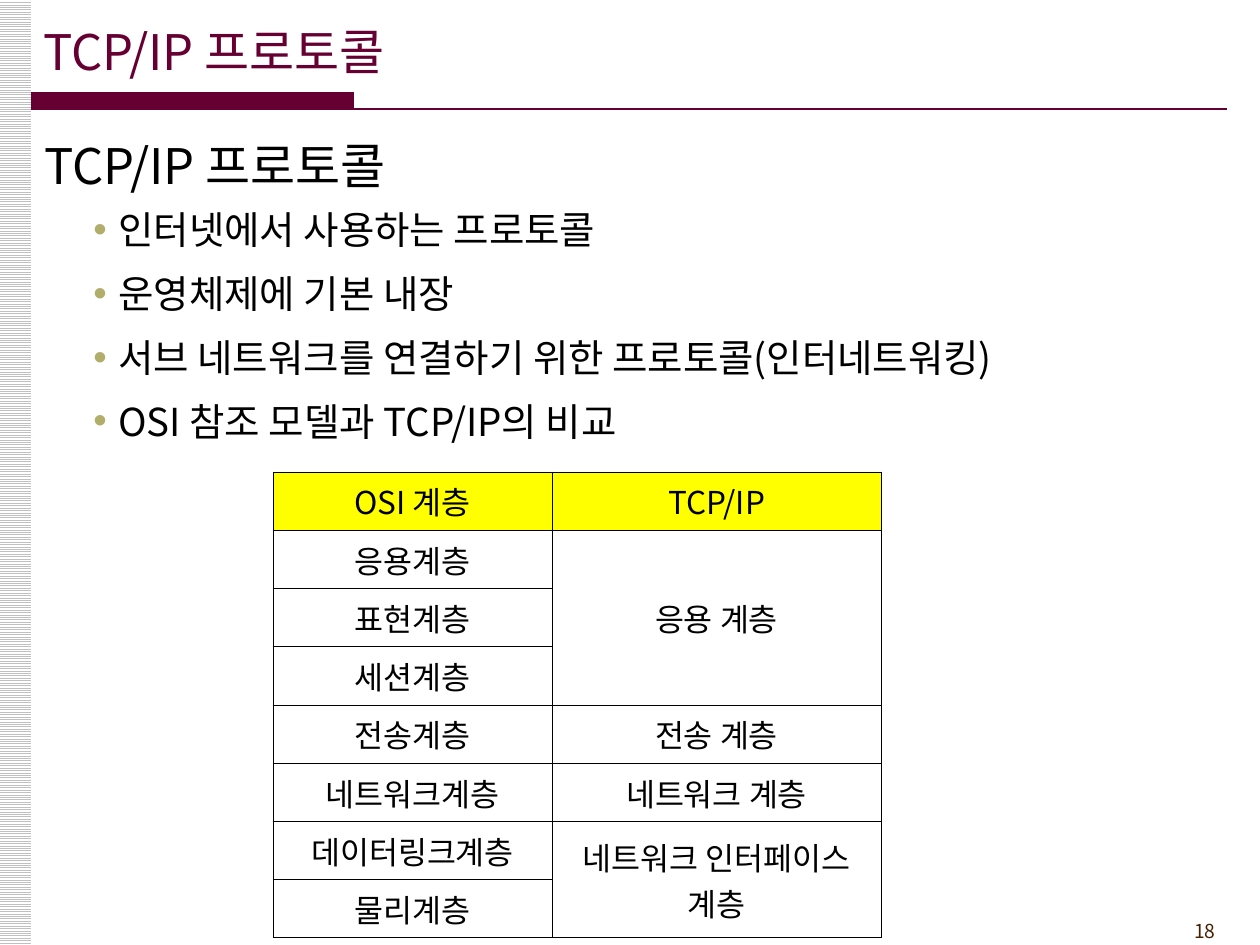
from lxml.etree import SubElement
from pptx import Presentation
from pptx.dml.color import RGBColor
from pptx.enum.dml import MSO_PATTERN
from pptx.enum.shapes import MSO_CONNECTOR, MSO_SHAPE
from pptx.enum.text import MSO_ANCHOR, PP_ALIGN
from pptx.oxml.ns import qn
from pptx.util import Emu, Pt

FONT = "Noto Sans CJK KR"
BLACK = RGBColor(0x00, 0x00, 0x00)
WHITE = RGBColor(0xFF, 0xFF, 0xFF)
SILVER = RGBColor(0xC0, 0xC0, 0xC0)
MAROON = RGBColor(0x66, 0x00, 0x33)
BROWN = RGBColor(0x45, 0x21, 0x03)
OLIVE = RGBColor(0xB1, 0xAE, 0x6B)
YELLOW = RGBColor(0xFF, 0xFF, 0x00)

TITLE = "TCP/IP 프로토콜"
PAGE = "18"
HEADING = "TCP/IP 프로토콜"
BULLETS = [
    "인터넷에서 사용하는 프로토콜",
    "운영체제에 기본 내장",
    "서브 네트워크를 연결하기 위한 프로토콜(인터네트워킹)",
    "OSI 참조 모델과 TCP/IP의 비교",
]
HEADER = ("OSI 계층", "TCP/IP")
# Each TCP/IP layer with the OSI layers it covers
LAYERS = [
    ("응용 계층", ["응용계층", "표현계층", "세션계층"]),
    ("전송 계층", ["전송계층"]),
    ("네트워크 계층", ["네트워크계층"]),
    ("네트워크 인터페이스 계층", ["데이터링크계층", "물리계층"]),
]
COL_WIDTHS = (279, 329)
TABLE_HEIGHT = 466


def px(n):
    return Emu(round(n * 914400 / 126))


def write(p, text, size=18, color=BLACK, align=PP_ALIGN.LEFT):
    p.alignment = align
    r = p.add_run()
    r.text = text
    r.font.size = Pt(size)
    r.font.name = FONT
    r.font.color.rgb = color
    rPr = r.font._element
    rPr.set("kern", "0")
    SubElement(rPr, qn("a:ea"), typeface=FONT)


def add_box(slide, left, top, width, height, anchor=MSO_ANCHOR.MIDDLE):
    tf = slide.shapes.add_textbox(px(left), px(top), px(width), px(height)).text_frame
    tf.word_wrap = True
    tf.vertical_anchor = anchor
    return tf


def add_rect(slide, left, top, width, height):
    s = slide.shapes.add_shape(MSO_SHAPE.RECTANGLE, px(left), px(top), px(width), px(height))
    s.shadow.inherit = False
    s.line.fill.background()
    return s


def set_bullet(p):
    pPr = p._p.get_or_add_pPr()
    pPr.set("marL", str(px(74)))
    pPr.set("indent", str(-px(25)))
    clr = SubElement(pPr, qn("a:buClr"))
    SubElement(clr, qn("a:srgbClr"), val=str(OLIVE))
    SubElement(pPr, qn("a:buFont"), typeface="Arial")
    SubElement(pPr, qn("a:buChar"), char="•")


def set_borders(cell):
    """Put a thin black line on all four sides, ahead of the cell's fill."""
    tcPr = cell._tc.get_or_add_tcPr()
    for i, side in enumerate(("lnL", "lnR", "lnT", "lnB")):
        ln = SubElement(tcPr, qn(f"a:{side}"), w=str(Pt(0.56)))
        fill = SubElement(ln, qn("a:solidFill"))
        SubElement(fill, qn("a:srgbClr"), val=str(BLACK))
        tcPr.insert(i, ln)


def fill_cell(cell, text):
    cell.vertical_anchor = MSO_ANCHOR.MIDDLE
    write(cell.text_frame.paragraphs[0], text, align=PP_ALIGN.CENTER)


def add_frame(slide):
    stripes = add_rect(slide, -1, 0, 32, 945)
    stripes.fill.patterned()
    stripes.fill.pattern = MSO_PATTERN.LIGHT_HORIZONTAL
    stripes.fill.fore_color.rgb = SILVER
    stripes.fill.back_color.rgb = WHITE

    bar = add_rect(slide, 31, 92, 323, 18)
    bar.fill.solid()
    bar.fill.fore_color.rgb = MAROON

    rule = slide.shapes.add_connector(MSO_CONNECTOR.STRAIGHT, px(31), px(109), px(1227), px(109))
    rule.line.color.rgb = MAROON
    rule.line.width = Pt(1.5)
    SubElement(rule._element.spPr, qn("a:effectLst"))

    tf = add_box(slide, 31, 11, 1042, 79)
    write(tf.paragraphs[0], TITLE, size=28, color=MAROON)
    tf = add_box(slide, 1123, 912, 105, 37)
    write(tf.paragraphs[0], PAGE, size=11, color=BROWN, align=PP_ALIGN.RIGHT)


def add_body(slide):
    tf = add_box(slide, 32, 129, 1197, 788, anchor=MSO_ANCHOR.TOP)
    write(tf.paragraphs[0], HEADING, size=28)
    for text in BULLETS:
        p = tf.add_paragraph()
        p.line_spacing = 1.1
        p.space_before = Pt(4.4)
        p.space_after = Pt(3)
        set_bullet(p)
        write(p, text, size=22)


def add_layer_table(slide):
    rows = 1 + sum(len(osi) for _, osi in LAYERS)
    table = slide.shapes.add_table(rows, 2, px(273), px(472), px(sum(COL_WIDTHS)),
                                   px(TABLE_HEIGHT)).table
    table.first_row = table.horz_banding = False
    for col, width in zip(table.columns, COL_WIDTHS):
        col.width = px(width)
    for row in table.rows:
        row.height = px(TABLE_HEIGHT / rows)
    for cell in table.iter_cells():
        cell.fill.background()
        set_borders(cell)

    for c, text in enumerate(HEADER):
        cell = table.cell(0, c)
        cell.fill.solid()
        cell.fill.fore_color.rgb = YELLOW
        fill_cell(cell, text)

    top = 1
    for tcp_layer, osi_layers in LAYERS:
        for i, text in enumerate(osi_layers):
            fill_cell(table.cell(top + i, 0), text)
        cell = table.cell(top, 1)
        if len(osi_layers) > 1:
            cell.merge(table.cell(top + len(osi_layers) - 1, 1))
        fill_cell(cell, tcp_layer)
        top += len(osi_layers)


def main():
    prs = Presentation()
    prs.slide_width, prs.slide_height = px(1260), px(945)
    slide = prs.slides.add_slide(prs.slide_layouts[6])
    add_frame(slide)
    add_body(slide)
    add_layer_table(slide)
    prs.save("out.pptx")


if __name__ == "__main__":
    main()
